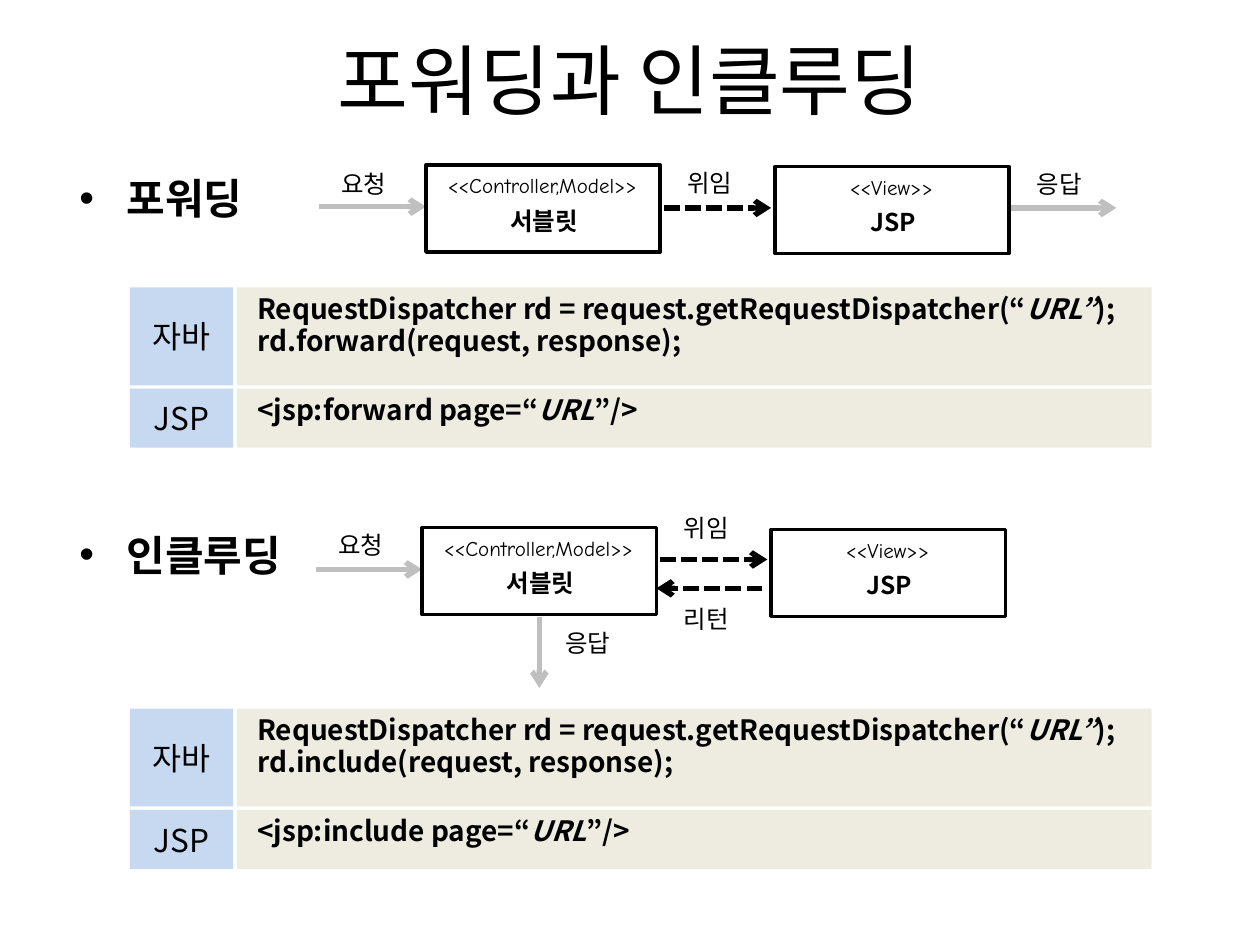
from dataclasses import dataclass, field
from typing import Any

from lxml.etree import SubElement
from pptx import Presentation
from pptx.dml.color import RGBColor
from pptx.enum.dml import MSO_LINE
from pptx.enum.shapes import MSO_CONNECTOR, MSO_SHAPE
from pptx.enum.text import MSO_ANCHOR, PP_ALIGN
from pptx.oxml.ns import qn
from pptx.util import Pt

BLACK = RGBColor(0x00, 0x00, 0x00)
GRAY = RGBColor(0xBF, 0xBF, 0xBF)
BEIGE = RGBColor(0xEE, 0xEC, 0xE1)
BLUE = RGBColor(0xC6, 0xD9, 0xF1)
KOREAN = "Noto Sans CJK KR"
NODE_SIZE = (133.9, 49.7)


@dataclass(frozen=True)
class Style:
    size: float
    name: str = KOREAN
    bold: bool = False
    align: PP_ALIGN = PP_ALIGN.CENTER
    anchor: MSO_ANCHOR = MSO_ANCHOR.TOP
    inset: bool = True
    indent: float = 0
    hanging: float = 0
    bullet: str = ""
    spacing: float = 1


@dataclass(frozen=True)
class Arrow:
    start: tuple[float, float]
    end: tuple[float, float]
    label: str
    label_at: tuple[float, float]
    label_width: float
    dashed: bool = False


@dataclass(frozen=True)
class Node:
    stereotype: str
    title: str
    left: float
    top: float


@dataclass(frozen=True)
class Section:
    heading: str
    heading_top: float
    heading_width: float
    action: str
    code_top: float
    nodes: list[Node] = field(default_factory=list)
    arrows: list[Arrow] = field(default_factory=list)


TITLE = Style(44, anchor=MSO_ANCHOR.MIDDLE)
HEADING = Style(24, bold=True, align=PP_ALIGN.LEFT, indent=27, hanging=-27, bullet="•")
LABEL = Style(14, name="Arial", inset=False, indent=3)
STEREOTYPE = Style(12, name="Comic Neue")
NODE_TITLE = Style(14, bold=True)
LANGUAGE = Style(18, anchor=MSO_ANCHOR.MIDDLE)
CODE = Style(16, bold=True, align=PP_ALIGN.LEFT, indent=4.5, spacing=0.96)

SECTIONS = [
    Section(
        "포워딩", 95, 128.2, "forward", 164.2,
        [Node("<<Controller,Model>>", "서블릿", 243.4, 94.3),
         Node("<<View>>", "JSP", 442.8, 95.2)],
        [Arrow((379.4, 118.8), (440.6, 118.8), "위임", (379.4, 95.8), 49.7, True),
         Arrow((182.2, 118.1), (243.4, 118.1), "요청", (182.2, 96.5), 48.2),
         Arrow((576.7, 118.8), (637.9, 118.8), "응답", (577.4, 96.5), 52.6)],
    ),
    Section(
        "인클루딩", 298.8, 147.6, "include", 404.9,
        [Node("<<Controller,Model>>", "서블릿", 241.2, 301.5),
         Node("<<View>>", "JSP", 440.6, 302.5)],
        [Arrow((377.3, 319.7), (438.5, 319.7), "위임", (377.3, 293), 49.7, True),
         Arrow((180.7, 325.4), (241.2, 325.4), "요청", (180.7, 303.1), 48.2),
         Arrow((308.2, 352.8), (308.2, 393.1), "응답", (308.2, 358.6), 52.6),
         Arrow((435.6, 336.2), (375.1, 336.2), "리턴", (377.3, 344.9), 49.7, True)],
    ),
]


def set_values(target: Any, values: dict[str, Any]) -> None:
    """Set each named attribute on the target."""
    for attribute, value in values.items():
        setattr(target, attribute, value)


def write(frame: Any, text: str, style: Style) -> None:
    """Write lines of text, with italic parts between vertical bars."""
    set_values(frame, {"word_wrap": True, "vertical_anchor": style.anchor})
    if not style.inset:
        set_values(frame, dict.fromkeys(
            ("margin_left", "margin_right", "margin_top", "margin_bottom"), Pt(0)))
    for index, line in enumerate(text.split("\n")):
        paragraph = frame.add_paragraph() if index else frame.paragraphs[0]
        set_values(paragraph, {"alignment": style.align, "line_spacing": style.spacing})
        properties = paragraph._p.get_or_add_pPr()
        properties.set("marL", str(Pt(style.indent)))
        properties.set("indent", str(Pt(style.hanging)))
        if style.bullet:
            SubElement(properties, qn("a:buFont"), typeface="Arial")
            SubElement(properties, qn("a:buChar"), char=style.bullet)
        for part, words in enumerate(line.split("|")):
            run = paragraph.add_run()
            run.text = words
            set_values(run.font, {"size": Pt(style.size), "name": style.name,
                                  "bold": style.bold, "italic": part % 2 == 1})
            run.font.color.rgb = BLACK
            SubElement(run._r.get_or_add_rPr(), qn("a:ea"), typeface=KOREAN)


def add_text(shapes: Any, text: str, box: tuple[float, ...], style: Style) -> None:
    """Add a text box."""
    write(shapes.add_textbox(*map(Pt, box)).text_frame, text, style)


def add_rectangle(shapes: Any, box: tuple[float, ...]) -> Any:
    """Add a rectangle without shadow."""
    rectangle = shapes.add_shape(MSO_SHAPE.RECTANGLE, *map(Pt, box))
    rectangle.shadow.inherit = False
    return rectangle


def add_cell(shapes: Any, text: str, box: tuple[float, ...], fill: RGBColor, style: Style) -> None:
    """Add a filled cell with text."""
    cell = add_rectangle(shapes, box)
    cell.fill.solid()
    cell.fill.fore_color.rgb = fill
    cell.line.fill.background()
    write(cell.text_frame, text, style)


def add_node(shapes: Any, node: Node) -> None:
    """Add an outlined component as a group with its stereotype and title."""
    group = shapes.add_group_shape().shapes
    width, height = NODE_SIZE
    outline = add_rectangle(group, (node.left, node.top, width, height))
    outline.fill.background()
    outline.line.color.rgb = BLACK
    outline.line.width = Pt(2)
    add_text(group, node.title, (node.left, node.top + 19.6, width + 1.4, 24), NODE_TITLE)
    add_text(group, node.stereotype, (node.left - 0.7, node.top + 1, width + 0.7, 22), STEREOTYPE)


def add_arrow(shapes: Any, arrow: Arrow) -> None:
    """Add an arrow and its label."""
    connector = shapes.add_connector(MSO_CONNECTOR.STRAIGHT, *map(Pt, arrow.start + arrow.end))
    connector.line.color.rgb = BLACK if arrow.dashed else GRAY
    connector.line.width = Pt(3)
    if arrow.dashed:
        connector.line.dash_style = MSO_LINE.SQUARE_DOT
    SubElement(connector.line._get_or_add_ln(), qn("a:tailEnd"), type="arrow")
    SubElement(connector._element.spPr, qn("a:effectLst"))
    add_text(shapes, arrow.label, (*arrow.label_at, arrow.label_width, 17), LABEL)


def add_section(shapes: Any, section: Section) -> None:
    """Add a heading, its flow diagram and its code rows."""
    add_text(shapes, section.heading,
             (38.2, section.heading_top, section.heading_width, 47.5), HEADING)
    for arrow in section.arrows:
        add_arrow(shapes, arrow)
    for node in section.nodes:
        add_node(shapes, node)
    java = ("RequestDispatcher rd = request.getRequestDispatcher(“|URL”|);\n"
            f"rd.{section.action}(request, response);")
    jsp = f"<jsp:{section.action} page=“|URL|”/>"
    top = section.code_top
    for language, code, height in (("자바", java, 56), ("JSP", jsp, 33.8)):
        add_cell(shapes, code, (135.4, top, 522.7, height), BEIGE, CODE)
        add_cell(shapes, language, (74.2, top, 59, height), BLUE, LANGUAGE)
        top += height + 1.9


def main() -> None:
    """Build the slide."""
    deck = Presentation()
    set_values(deck, {"slide_width": Pt(720), "slide_height": Pt(540)})
    shapes = deck.slides.add_slide(deck.slide_layouts[6]).shapes
    add_text(shapes, "포워딩과 인클루딩", (36, 0, 648, 90), TITLE)
    for section in SECTIONS:
        add_section(shapes, section)
    deck.save("out.pptx")


if __name__ == "__main__":
    main()
